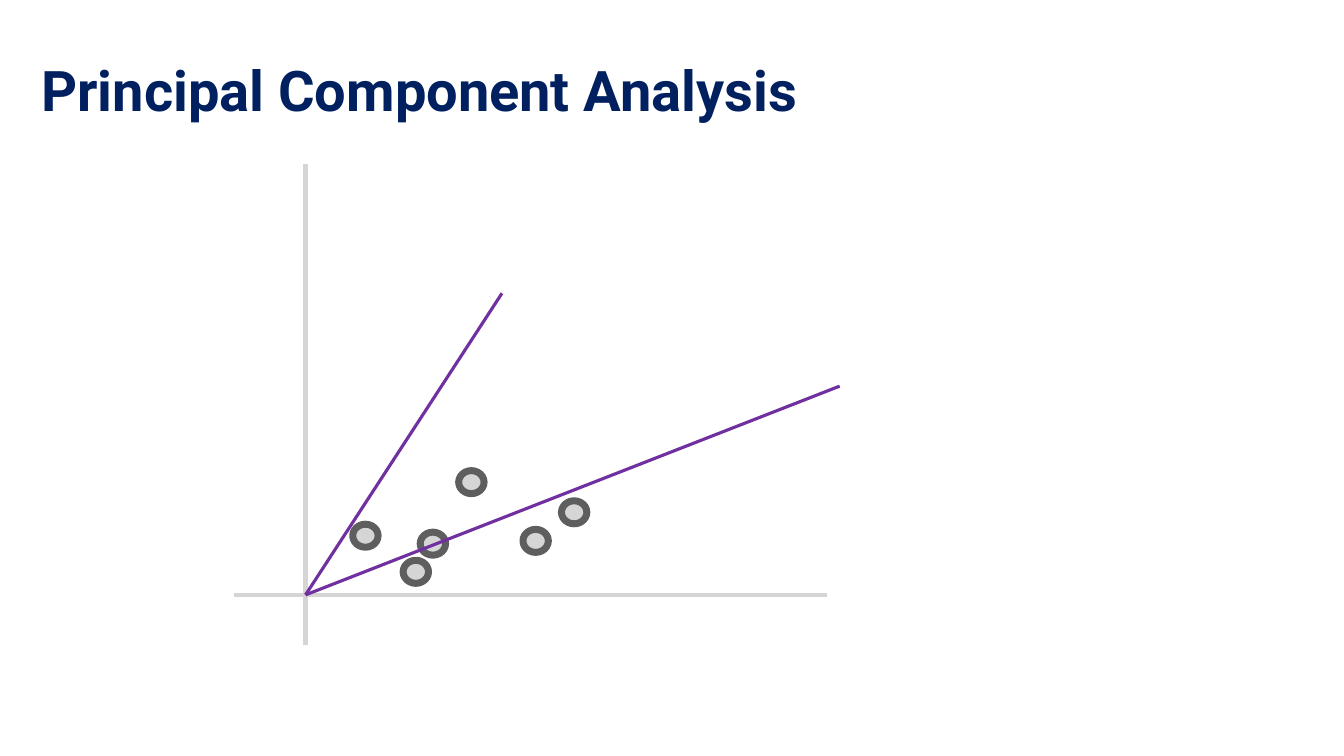
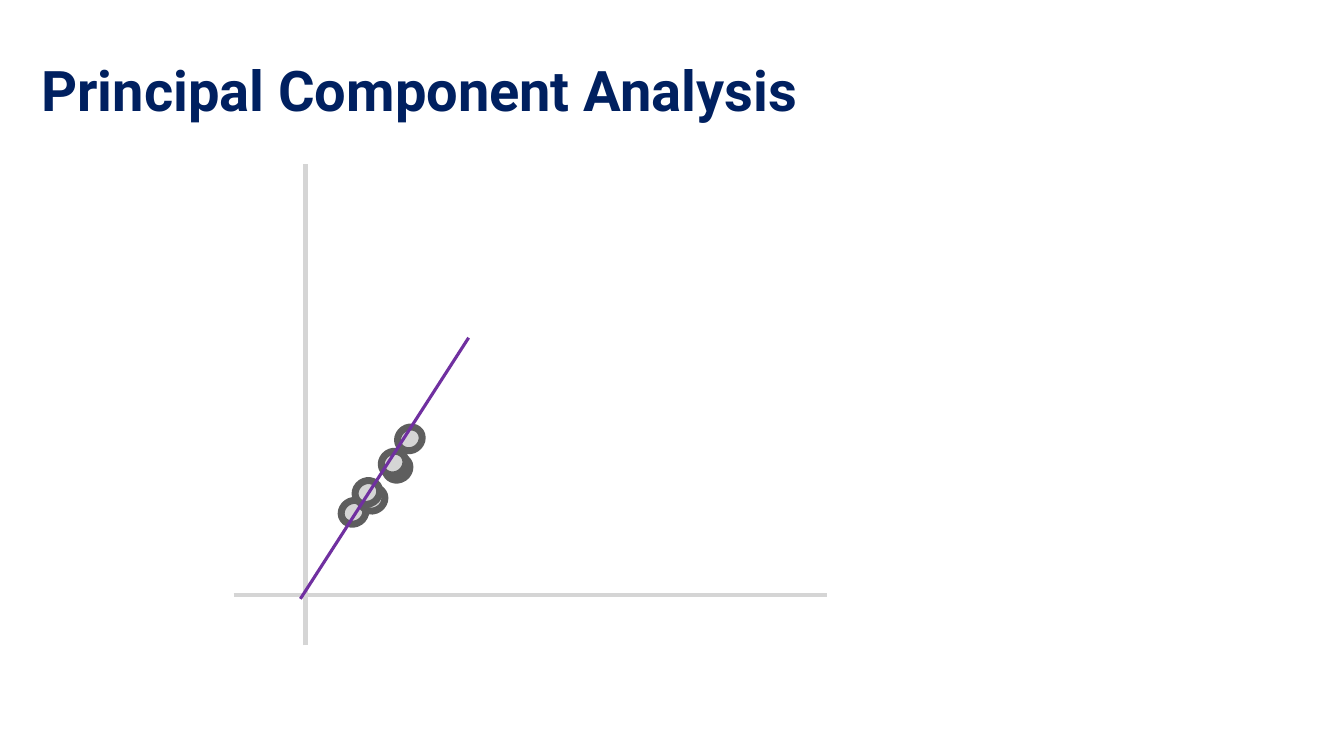
from pptx import Presentation
from pptx.dml.color import RGBColor
from pptx.enum.shapes import MSO_CONNECTOR as Connector, MSO_SHAPE as Shape
from pptx.enum.text import MSO_ANCHOR as Anchor, MSO_AUTO_SIZE as AutoSize, PP_ALIGN as Align
from pptx.oxml.ns import qn
from pptx.util import Cm, Pt
from lxml import etree

NAVY = RGBColor(0x00, 0x20, 0x60)
LIGHT_GREY = RGBColor(0xD5, 0xD5, 0xD5)
DARK_GREY = RGBColor(0x5E, 0x5E, 0x5E)
PURPLE = RGBColor(0x70, 0x30, 0xA0)

# Content: all positions in centimetres, dots by their top left corner
TITLE = "Principal Component Analysis"
ORIGIN = (7.7, 14.99)
AXES = [
    ((ORIGIN[0], 16.26), (ORIGIN[0], 4.14)),
    ((5.89, ORIGIN[1]), (20.83, ORIGIN[1])),
]
PLOTS = [
    {   # data cloud with both components
        "dots": [(8.89, 13.21), (11.56, 11.86), (10.59, 13.41),
                 (10.16, 14.12), (13.18, 13.34), (14.15, 12.62)],
        "components": [(ORIGIN, (21.16, 9.73)), ((12.65, 7.39), ORIGIN)],
        "rotation": 0, "grouped": False,
    },
    {   # data projected onto one component
        "dots": [(8.59, 12.62), (9.7, 11.51), (9.07, 12.29),
                 (8.94, 12.12), (9.6, 11.38), (10.01, 10.77)],
        "components": [((7.57, 15.09), (11.81, 8.51))],
        "rotation": 325.9, "grouped": True,
    },
]

# Shared formats
TITLE_BOX = {"left": Cm(0.79), "top": Cm(1.27), "width": Cm(22.78), "height": Cm(1.96)}
TITLE_FRAME = {"word_wrap": True, "auto_size": AutoSize.NONE, "vertical_anchor": Anchor.TOP}
TITLE_FONT = {"name": "Roboto", "size": Pt(40), "bold": True}
DOT_SIZE = (Cm(0.64), Cm(0.58))


def apply_format(target, values):
    for name, value in values.items():
        setattr(target, name, value)


def add_title(page):
    box = page.shapes.title
    apply_format(box, TITLE_BOX)
    frame = box.text_frame
    frame.text = TITLE
    apply_format(frame, TITLE_FRAME)
    para = frame.paragraphs[0]
    para.alignment = Align.LEFT
    apply_format(para.font, TITLE_FONT)
    para.font.color.rgb = NAVY


def add_line(shapes, start, end, color, width):
    line = shapes.add_connector(Connector.STRAIGHT, *map(Cm, start + end))
    line.line.color.rgb = color
    line.line.width = Pt(width)
    etree.SubElement(line._element.spPr, qn("a:effectLst"))


def add_dot(shapes, corner, rotation):
    dot = shapes.add_shape(Shape.OVAL, *map(Cm, corner), *DOT_SIZE)
    dot.rotation = rotation
    dot.shadow.inherit = False
    dot.fill.solid()
    dot.fill.fore_color.rgb = LIGHT_GREY
    dot.line.color.rgb = DARK_GREY
    dot.line.width = Pt(5)


def add_plot(page, plot):
    for start, end in AXES:
        add_line(page.shapes, start, end, LIGHT_GREY, 3)
    shapes = page.shapes.add_group_shape().shapes if plot["grouped"] else page.shapes
    for corner in plot["dots"]:
        add_dot(shapes, corner, plot["rotation"])
    for start, end in plot["components"]:
        add_line(shapes, start, end, PURPLE, 2.25)


def main():
    deck = Presentation()
    deck.slide_width, deck.slide_height = Cm(33.87), Cm(19.05)
    title_only = deck.slide_layouts.get_by_name("Title Only")
    for plot in PLOTS:
        page = deck.slides.add_slide(title_only)
        add_title(page)
        add_plot(page, plot)
    deck.save("out.pptx")


if __name__ == "__main__":
    main()
